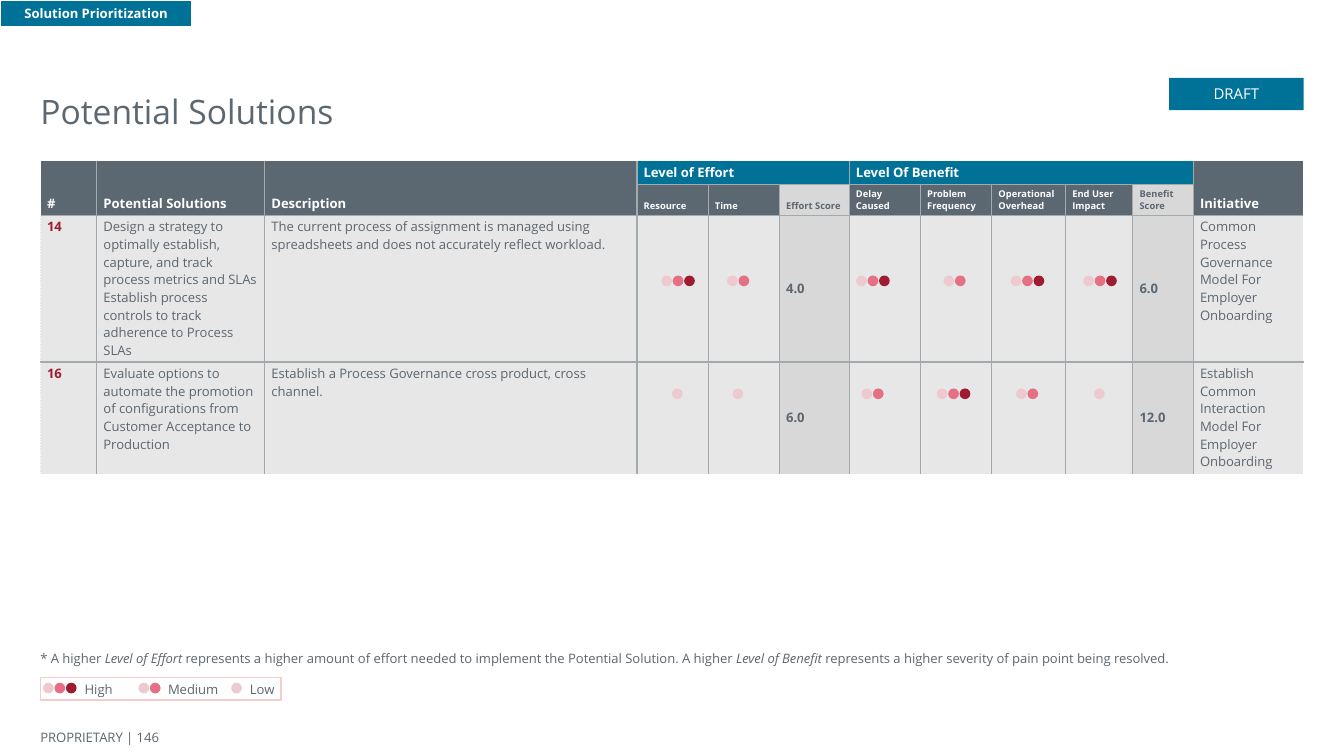
from dataclasses import dataclass

from lxml.etree import SubElement
from pptx import Presentation
from pptx.dml.color import RGBColor
from pptx.enum.shapes import MSO_SHAPE as Shape
from pptx.enum.text import MSO_ANCHOR as Anchor, MSO_AUTO_SIZE as AutoSize, PP_ALIGN as Align
from pptx.oxml.ns import qn
from pptx.util import Inches, Pt


@dataclass(frozen=True)
class Theme:
    """Colours, font and type sizes of the slide."""
    font: str = "Open Sans"
    slate: str = "5B6771"
    teal: str = "007298"
    white: str = "FFFFFF"
    rule: str = "A3AAAD"
    body: str = "E7E7E7"
    score: str = "D8D8D8"
    legend_line: str = "F4CCCC"
    levels: tuple = ("ECCAD0", "E57084", "9E1B32")
    title_size: float = 18
    draft_size: float = 8
    text_size: float = 7
    small_size: float = 5
    line: float = 0.75


THEME = Theme()
DOT, DOT_PITCH = 0.08, 0.17 / 2
COLUMNS = (0.42, 1.25, 2.77, 0.53, 0.53, 0.52, 0.53, 0.53, 0.55, 0.5, 0.45, 0.82)
ROWS = (0.17, 0.23, 1.09, 0.83)
SCORE_COLUMNS = (5, 10)
GROUP_HEADS = {0: "#", 1: "Potential Solutions", 2: "Description",
               3: "Level of Effort", 6: "Level Of Benefit", 11: "Initiative"}
GROUP_SPANS = {3: 5, 6: 10}
CRITERIA = {3: "Resource", 4: "Time", 5: "Effort Score", 6: "Delay Caused",
            7: "Problem\nFrequency", 8: "Operational Overhead",
            9: "End User Impact", 10: "Benefit Score"}
SOLUTIONS = (
    {0: "14",
     1: "Design a strategy to optimally establish, capture, and track process metrics and SLAs\n"
        "Establish process controls to track adherence to Process SLAs",
     2: "The current process of assignment is managed using spreadsheets "
        "and does not accurately reflect workload.",
     5: "4.0", 10: "6.0",
     11: "Common Process Governance Model For Employer Onboarding"},
    {0: "16",
     1: "Evaluate options to automate the promotion of configurations "
        "from Customer Acceptance to Production",
     2: "Establish a Process Governance cross product, cross channel.",
     5: "6.0", 10: "12.0",
     11: "Establish Common Interaction Model For Employer Onboarding"},
)
RATINGS = (
    (0.85, ((4.62, 3), (5.11, 2), (6.07, 3), (6.72, 2), (7.22, 3), (7.76, 3))),
    (1.69, ((4.7, 1), (5.15, 1), (6.11, 2), (6.67, 3), (7.26, 2), (7.84, 1))),
)
LEGEND = (("High", 3, 0.02, 0.33), ("Medium", 2, 0.73, 0.95), ("Low", 1, 1.42, 1.56))
NOTE = (("* A higher ", False), ("Level of Effort ", True),
        ("represents a higher amount of effort needed to implement the Potential Solution. A higher ", False),
        ("Level of Benefit ", True),
        ("represents a higher severity of pain point being resolved.", False))


def rgb(code):
    """Turn a hex code into a colour."""
    return RGBColor.from_string(code)


def add_run(paragraph, text, color=THEME.slate, size=THEME.text_size, bold=False, italic=False):
    """Append one formatted run."""
    run = paragraph.add_run()
    run.text = text
    font = run.font
    font.name, font.size, font.bold, font.italic = THEME.font, Pt(size), bold, italic
    font.color.rgb = rgb(color)


def set_insets(frame, inset):
    """Give a text frame equal insets."""
    frame.margin_left = frame.margin_right = Inches(inset)
    frame.margin_top = frame.margin_bottom = Inches(inset)


def add_label(slide, box, runs, anchor=Anchor.TOP, wrap=True):
    """Place a text box without insets, from (text, italic) runs."""
    frame = slide.shapes.add_textbox(*map(Inches, box)).text_frame
    set_insets(frame, 0)
    frame.word_wrap, frame.vertical_anchor = wrap, anchor
    for text, italic in runs:
        add_run(frame.paragraphs[0], text, italic=italic)


def add_block(shapes, box, fill, line=None, kind=Shape.RECTANGLE):
    """Place a flat filled shape."""
    block = shapes.add_shape(kind, *map(Inches, box))
    block.shadow.inherit = False
    block.fill.solid()
    block.fill.fore_color.rgb = rgb(fill)
    if line:
        block.line.color.rgb = rgb(line)
        block.line.width = Pt(THEME.line)
    else:
        block.line.fill.background()
    return block


def add_tag(slide, box, text, size, bold=False, line=None, anchor=Anchor.TOP):
    """Place a teal tag with centred text."""
    frame = add_block(slide.shapes, box, THEME.teal, line).text_frame
    set_insets(frame, 0.05)
    frame.word_wrap, frame.vertical_anchor = True, anchor
    frame.paragraphs[0].alignment = Align.CENTER
    add_run(frame.paragraphs[0], text, THEME.white, size, bold)


def add_rating(slide, left, top, level):
    """Place one to three dots that show a rating."""
    shapes = slide.shapes.add_group_shape().shapes if level > 1 else slide.shapes
    for step, color in enumerate(THEME.levels[:level]):
        add_block(shapes, (left + step * DOT_PITCH, top, DOT, DOT), color,
                  kind=Shape.FLOWCHART_CONNECTOR)


def set_borders(cell, row, column):
    """Rule a cell inside the table and leave the outer edges white or open."""
    last_row, last_column = len(ROWS) - 1, len(COLUMNS) - 1
    edges = {"L": THEME.white if column == 0 else THEME.rule,
             "R": THEME.white if column == last_column else THEME.rule,
             "T": None if row == 0 else THEME.rule,
             "B": None if row == last_row else THEME.rule}
    properties = cell._tc.get_or_add_tcPr()
    for side, color in edges.items():
        edge = SubElement(properties, qn(f"a:ln{side}"), w=str(Pt(THEME.line)))
        if color is None:
            SubElement(edge, qn("a:noFill"))
            continue
        SubElement(SubElement(edge, qn("a:solidFill")), qn("a:srgbClr"), val=color)
        dotted = row > 1 and color == THEME.white
        SubElement(edge, qn("a:prstDash"), val="dot" if dotted else "solid")


def cell_style(row, column):
    """Return fill, text colour, size, weight and anchor for a table position."""
    score = column in SCORE_COLUMNS
    if row == 0:
        grouped = 3 <= column <= 10
        return (THEME.teal if grouped else THEME.slate, THEME.white, THEME.text_size, True,
                Anchor.MIDDLE if grouped else Anchor.BOTTOM)
    if row == 1:
        fill, color = (THEME.score, THEME.slate) if score else (THEME.slate, THEME.white)
        return fill, color, THEME.small_size, True, Anchor.BOTTOM
    return (THEME.score if score else THEME.body, THEME.levels[2] if column == 0 else THEME.slate,
            THEME.text_size, score or column == 0, Anchor.MIDDLE if score else Anchor.TOP)


def fill_cell(cell, row, column, text):
    """Format a cell and write its paragraphs."""
    fill, color, size, bold, anchor = cell_style(row, column)
    set_borders(cell, row, column)
    cell.fill.solid()
    cell.fill.fore_color.rgb = rgb(fill)
    cell.margin_left = cell.margin_right = Inches(0.05)
    cell.margin_top = cell.margin_bottom = Inches(0.02)
    cell.vertical_anchor = anchor
    frame = cell.text_frame
    for index, line in enumerate(text.split("\n")):
        paragraph = frame.add_paragraph() if index else frame.paragraphs[0]
        if line:
            add_run(paragraph, line, color, size, bold)
        else:
            SubElement(paragraph._p, qn("a:endParaRPr"), sz=str(int(size * 100)))


def add_solutions(slide, left, top):
    """Place the solutions table with its ratings."""
    box = (left, top, sum(COLUMNS), sum(ROWS))
    table = slide.shapes.add_table(len(ROWS), len(COLUMNS), *map(Inches, box)).table
    for column, width in zip(table.columns, COLUMNS):
        column.width = Inches(width)
    for row, height in zip(table.rows, ROWS):
        row.height = Inches(height)
    for row, texts in enumerate((GROUP_HEADS, CRITERIA, *SOLUTIONS)):
        for column in range(len(COLUMNS)):
            fill_cell(table.cell(row, column), row, column, texts.get(column, ""))
    for column in GROUP_HEADS:
        end = (0, GROUP_SPANS[column]) if column in GROUP_SPANS else (1, column)
        table.cell(0, column).merge(table.cell(*end))
    for offset, ratings in RATINGS:
        for start, level in ratings:
            add_rating(slide, left + start, top + offset, level)


def add_legend(slide, left, top):
    """Place the key to the rating dots."""
    add_block(slide.shapes, (left, top, 1.79, 0.17), THEME.white, THEME.legend_line)
    for name, level, dots, label in LEGEND:
        add_rating(slide, left + dots, top + 0.04, level)
        add_label(slide, (left + label, top + 0.03, 0.42, 0.12), [(name, False)], wrap=False)


def add_title(slide, box):
    """Move and format the title placeholder."""
    title = slide.shapes.title
    title.left, title.top, title.width, title.height = map(Inches, box)
    frame = title.text_frame
    set_insets(frame, 0)
    frame.auto_size, frame.vertical_anchor = AutoSize.NONE, Anchor.BOTTOM
    frame.paragraphs[0].alignment = Align.LEFT
    add_run(frame.paragraphs[0], "Potential Solutions", size=THEME.title_size)


def main():
    """Build and save the slide."""
    deck = Presentation()
    deck.slide_width, deck.slide_height = Inches(10), Inches(10 * 9 / 16)
    slide = deck.slides.add_slide(deck.slide_layouts[5])
    add_title(slide, (0.3, 0.24, 9.4, 0.74))
    add_solutions(slide, 0.3, 1.2)
    add_label(slide, (0.3, 4.84, 8.92, 0.12), NOTE)
    add_legend(slide, 0.3, 5.04)
    add_label(slide, (0.3, 5.39, 1.38, 0.19), [("PROPRIETARY | 146", False)], Anchor.MIDDLE)
    add_tag(slide, (8.7, 0.58, 1, 0.24), "DRAFT", THEME.draft_size)
    add_tag(slide, (0, 0, 1.43, 0.2), "Solution Prioritization", THEME.text_size, True,
            THEME.white, Anchor.MIDDLE)
    deck.save("out.pptx")


if __name__ == "__main__":
    main()
